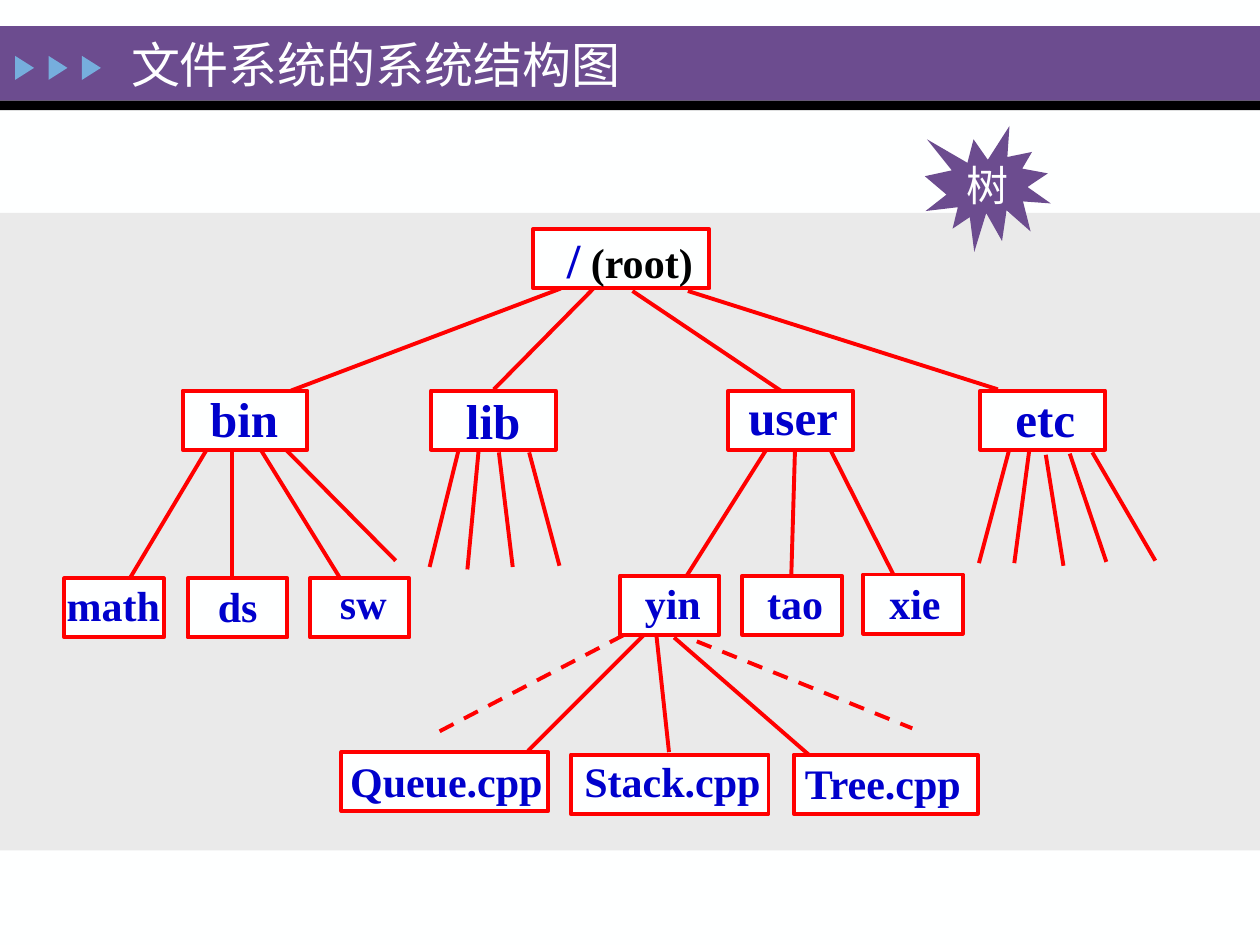
from lxml import etree
from pptx import Presentation
from pptx.dml.color import RGBColor
from pptx.enum.dml import MSO_LINE
from pptx.enum.shapes import MSO_CONNECTOR, MSO_SHAPE
from pptx.enum.text import MSO_ANCHOR, MSO_AUTO_SIZE, PP_ALIGN
from pptx.oxml.ns import qn
from pptx.util import Pt

RECTANGLE, TRIANGLE = MSO_SHAPE.RECTANGLE, MSO_SHAPE.ISOSCELES_TRIANGLE
BURST = MSO_SHAPE.EXPLOSION1
STRAIGHT, DASH = MSO_CONNECTOR.STRAIGHT, MSO_LINE.DASH
MIDDLE, CENTER, LEFT = MSO_ANCHOR.MIDDLE, PP_ALIGN.CENTER, PP_ALIGN.LEFT
GROW = MSO_AUTO_SIZE.SHAPE_TO_FIT_TEXT

FONT = "Times New Roman"
COLORS = {"white": "FEFFFF", "purple": "6C4C8F", "black": "000000",
          "arrow": "76AEDD", "panel": "EAEAEA", "red": "FF0000", "blue": "0000CC"}
LINE_WIDTH = 2.25
NODE_HEIGHT = 33.8

# Label, font size, frame (left, top, width), text (left, top, width)
NODES = [
    ("bin", 28, (104.4, 223.2, 71.3), (113, 218.2, 53.3)),
    ("lib", 28, (246.2, 223.2, 71.3), (259.2, 219.6, 45.4)),
    ("user", 28, (416.2, 223.2, 71.3), (420.5, 217.4, 65.5)),
    ("etc", 28, (560.2, 223.2, 71.3), (573.1, 218.2, 49)),
    ("math", 24, (36.7, 330.5, 56.9), (31, 327.6, 67.7)),
    ("ds", 24, (107.3, 330.5, 56.9), (117.4, 328.3, 37.4)),
    ("sw", 24, (177.1, 330.5, 56.9), (187.2, 326.2, 41)),
    ("yin", 24, (354.2, 329, 56.9), (361.4, 326.2, 46.8)),
    ("tao", 24, (424.1, 329, 56.9), (431.3, 326.2, 46.8)),
    ("xie", 24, (493.2, 328.3, 56.9), (501.1, 326.2, 43.9)),
    ("Queue.cpp", 24, (195.1, 429.8, 118.1), (193, 428.4, 124.6)),
    ("Stack.cpp", 24, (326.2, 431.3, 113), (326.9, 428.4, 115.2)),
    ("Tree.cpp", 24, (453.6, 431.3, 105.1), (452.9, 429.1, 105.8)),
]

# Branches below each folder: x and y of the start, x and y of the end
BRANCHES = {
    "root": [(320.4, 164.9, 166.3, 223.2), (339.1, 164.9, 282.2, 222.5),
             (361.4, 166.3, 447.1, 223.9), (393.1, 166.3, 570.2, 222.5)],
    "bin": [(118.1, 257, 74.2, 330.5), (132.5, 257, 132.5, 330.5),
            (149, 257, 194.4, 330.5), (163.4, 257, 226.1, 320.4)],
    "lib": [(262.1, 257, 245.5, 324), (273.6, 256.3, 267.1, 325.4),
            (285.1, 258.5, 293, 324), (302.4, 258.5, 319.7, 323.3)],
    "user": [(439.2, 254.9, 392.4, 329), (454.3, 257, 452.2, 328.3),
             (474.5, 257, 510.5, 328.3)],
    "etc": [(576.7, 257, 559.4, 321.8), (588.2, 257, 579.6, 321.8),
            (597.6, 259.9, 607.7, 323.3), (611.3, 259.2, 632.2, 321.1),
            (624.2, 258.5, 660.2, 320.4)],
    "yin": [(368.6, 362.2, 301.7, 429.1), (375.1, 362.9, 382.3, 429.8),
            (385.2, 364.3, 462.2, 431.3)],
}
OPEN_BRANCHES = [(356.4, 362.9, 249.1, 419), (398.2, 366.5, 521.3, 416.2)]


def color(name):
    return RGBColor.from_string(COLORS[name])


def add_block(page, kind, left, top, width, height, fill, outline=None):
    shape = page.shapes.add_shape(kind, Pt(left), Pt(top), Pt(width), Pt(height))
    shape.shadow.inherit = False
    shape.fill.solid()
    shape.fill.fore_color.rgb = color(fill)
    if outline:
        shape.line.color.rgb = color(outline)
        shape.line.width = Pt(LINE_WIDTH)
    else:
        shape.line.fill.background()
    return shape


def add_branch(page, start_x, start_y, end_x, end_y, dash=None):
    branch = page.shapes.add_connector(
        STRAIGHT, Pt(start_x), Pt(start_y), Pt(end_x), Pt(end_y))
    branch.line.color.rgb = color("red")
    branch.line.width = Pt(LINE_WIDTH)
    if dash is not None:
        branch.line.dash_style = dash
    etree.SubElement(branch._element.spPr, qn("a:effectLst"))


def add_span(box, text, size=24, fill="blue", bold=False, align=LEFT):
    """Append a formatted run to the first paragraph of a box."""
    para = box.text_frame.paragraphs[0]
    para.alignment = align
    span = para.add_run()
    span.text = text
    span.font.name = FONT
    span.font.size = Pt(size)
    span.font.bold = bold
    span.font.color.rgb = color(fill)


def add_text_box(page, left, top, width, height):
    """Add an empty box that grows with a single unwrapped line."""
    box = page.shapes.add_textbox(Pt(left), Pt(top), Pt(width), Pt(height))
    box.text_frame.word_wrap = False
    box.text_frame.auto_size = GROW
    return box


def add_header(page):
    add_block(page, RECTANGLE, 0, 15, 720, 42.5, "purple")
    add_block(page, RECTANGLE, 0, 57.5, 720, 5.5, "black")
    for index in range(3):
        arrow = add_block(page, TRIANGLE, 7.2 + 19.1 * index, 33.4, 13.7, 10.8, "arrow")
        arrow.rotation = 90
    title = page.shapes.add_textbox(Pt(31.7), Pt(15.8), Pt(380.2), Pt(41.8))
    title.text_frame.word_wrap = True
    title.text_frame.margin_left = Pt(43.2)
    title.text_frame.vertical_anchor = MIDDLE
    add_span(title, "文件系统的系统结构图", size=28, fill="white")


def add_root(page):
    add_block(page, RECTANGLE, 304.6, 131, 100.8, NODE_HEIGHT, "white", "red")
    box = add_text_box(page, 316.8, 127.4, 87.1, 41)
    add_span(box, "/", size=28, bold=True)
    add_span(box, " (root)", fill="black", bold=True)


def add_node(page, label, size, frame, text_place):
    add_block(page, RECTANGLE, *frame, NODE_HEIGHT, "white", "red")
    box = add_text_box(page, *text_place, 41 if size == 28 else 36)
    add_span(box, label, size=size, bold=True)


def add_badge(page):
    badge = add_block(page, BURST, 528.5, 72, 72, 72, "purple")
    badge.text_frame.word_wrap = False
    badge.text_frame.vertical_anchor = MIDDLE
    add_span(badge, "树", fill="white", align=CENTER)


def main():
    deck = Presentation()
    deck.slide_width, deck.slide_height = Pt(720), Pt(540)
    page = deck.slides.add_slide(deck.slide_layouts[6])
    page.background.fill.solid()
    page.background.fill.fore_color.rgb = color("white")

    add_header(page)
    add_block(page, RECTANGLE, 0, 121.7, 720, 364.3, "panel")
    for group in BRANCHES.values():
        for ends in group:
            add_branch(page, *ends)
    for ends in OPEN_BRANCHES:
        add_branch(page, *ends, dash=DASH)
    add_root(page)
    for node in NODES:
        add_node(page, *node)
    add_badge(page)
    deck.save("out.pptx")


if __name__ == "__main__":
    main()
